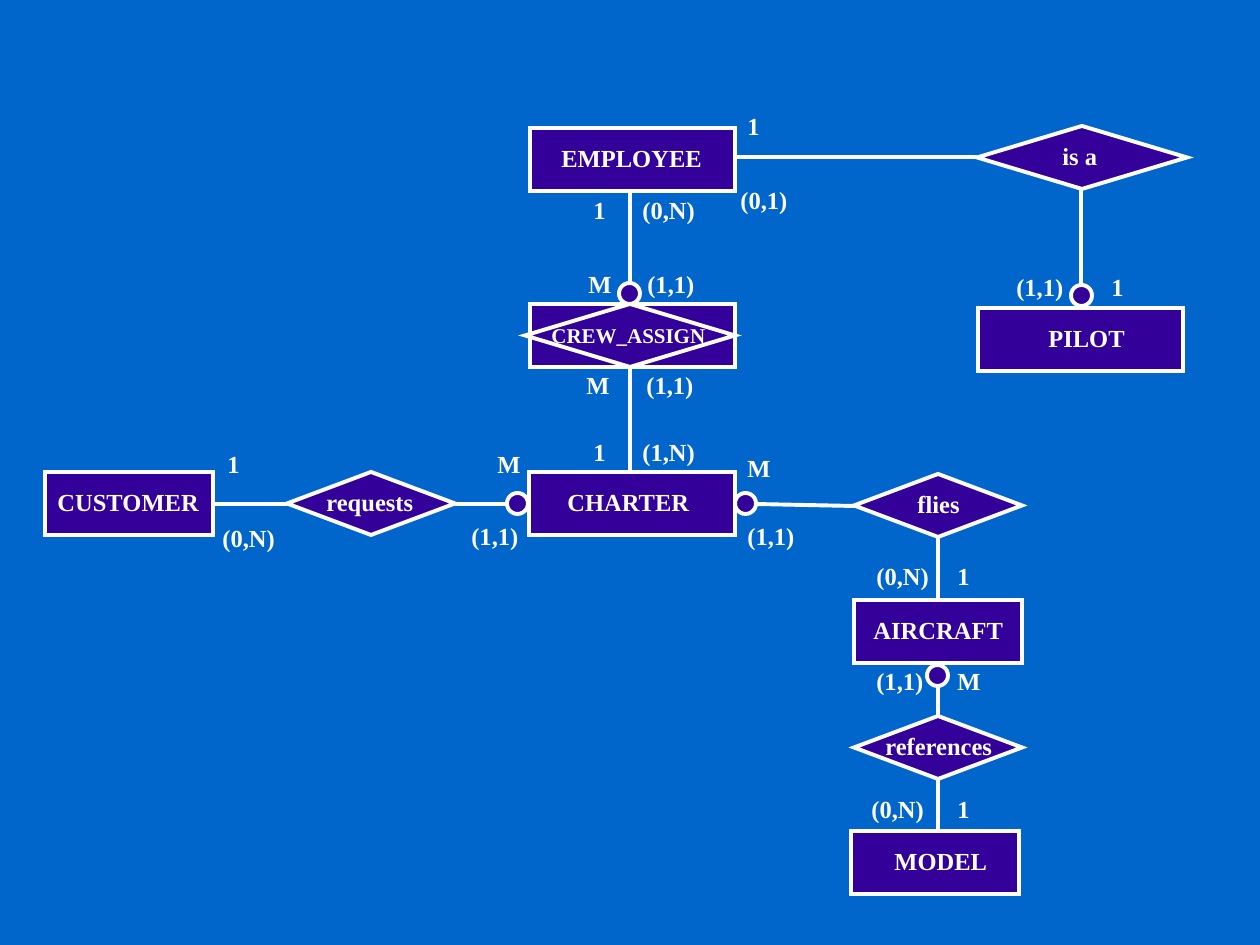
import pptx
import pptx.util
from pptx.dml.color import RGBColor
from pptx.enum.shapes import MSO_CONNECTOR, MSO_SHAPE
from pptx.enum.text import MSO_AUTO_SIZE
from lxml import etree

COLORS = {"background": "0066CC", "node": "330099", "ink": "FFFFFF"}
FONT = "Times New Roman"
EMU_PER_PX = 914400 / 126
NODE_HEIGHT = 63
DOT_SIZE = 21
BLANK_LAYOUT = 6

# name, left, top, width, label left, label width
ENTITIES = [
    ("EMPLOYEE", 530, 128, 205, 549, 170),
    ("CUSTOMER", 45, 472, 168, 45, 171),
    ("CHARTER", 529, 472, 206, 555, 152),
    ("PILOT", 978, 308, 205, 1036, 106),
    ("AIRCRAFT", 854, 600, 168, 861, 160),
    ("MODEL", 851, 831, 168, 882, 122),
]
RELATIONSHIPS = [
    ("requests", 287, 472, 168, 314, 117),
    ("flies", 854, 474, 168, 905, 72),
    ("references", 854, 716, 168, 873, 137),
    ("is a", 977, 126, 210, 1050, 64),
]
OPTIONAL_DOTS = [(507, 493), (735, 493), (619, 283), (1071, 285), (927, 665)]
LINKS = [
    (287, 504, 213, 504), (455, 504, 508, 504), (854, 506, 756, 504),
    (938, 537, 938, 600), (938, 779, 938, 831), (938, 716, 938, 685),
    (630, 368, 630, 472), (630, 284, 630, 190),
    (735, 157, 977, 157), (1081, 189, 1081, 284),
]
# multiplicity: label width, positions
MULTIPLICITIES = {
    "1": (39, [(215, 443), (581, 189), (945, 788), (945, 555),
               (581, 431), (735, 105), (1099, 266)]),
    "M": (52, [(485, 443), (735, 447), (945, 660), (574, 364), (576, 263)]),
    "(1,1)": (77, [(459, 515), (735, 515), (864, 660), (634, 364),
                   (635, 263), (1004, 266)]),
    "(0,1)": (77, [(728, 179)]),
    "(1,N)": (82, [(630, 431)]),
    "(0,N)": (82, [(864, 555), (859, 788), (210, 517), (630, 189)]),
}


def px(n):
    return pptx.util.Emu(round(n * EMU_PER_PX))


def rgb(name):
    return RGBColor.from_string(COLORS[name])


class Diagram:
    """Holds the style and the slide being drawn."""

    def __init__(self, slide):
        self.slide = slide
        self.line_width = pptx.util.Pt(2.25)
        fill = slide.background.fill
        fill.solid()
        fill.fore_color.rgb = rgb("background")

    def stroke(self, sp):
        """Draw the outline in ink with sharp corners."""
        sp.line.color.rgb = rgb("ink")
        sp.line.width = self.line_width
        ln = sp._element.spPr.find(pptx.oxml.ns.qn("a:ln"))
        etree.SubElement(ln, pptx.oxml.ns.qn("a:miter"), lim="800000")

    def node(self, kind, x, y, w, h=NODE_HEIGHT):
        sp = self.slide.shapes.add_shape(kind, px(x), px(y), px(w), px(h))
        sp.shadow.inherit = False
        sp.fill.solid()
        sp.fill.fore_color.rgb = rgb("node")
        self.stroke(sp)

    def link(self, x1, y1, x2, y2):
        cn = self.slide.shapes.add_connector(
            MSO_CONNECTOR.STRAIGHT, px(x1), px(y1), px(x2), px(y2))
        self.stroke(cn)
        etree.SubElement(cn._element.spPr, pptx.oxml.ns.qn("a:effectLst"))

    def label(self, text, x, y, w, h=43, size=14):
        box = self.slide.shapes.add_textbox(px(x), px(y), px(w), px(h))
        tf = box.text_frame
        tf.word_wrap = False
        tf.auto_size = MSO_AUTO_SIZE.SHAPE_TO_FIT_TEXT
        p = tf.paragraphs[0]
        p.text = text
        p.font.name = FONT
        p.font.size = pptx.util.Pt(size)
        p.font.bold = True
        p.font.color.rgb = rgb("ink")

    def named_node(self, kind, name, x, y, w, label_x, label_w):
        self.node(kind, x, y, w)
        self.label(name, label_x, y + 9, label_w)


def main():
    prs = pptx.Presentation()
    prs.slide_width, prs.slide_height = px(1260), px(945)
    diagram = Diagram(prs.slides.add_slide(prs.slide_layouts[BLANK_LAYOUT]))

    for entity in ENTITIES:
        diagram.named_node(MSO_SHAPE.RECTANGLE, *entity)
    for relationship in RELATIONSHIPS:
        diagram.named_node(MSO_SHAPE.FLOWCHART_DECISION, *relationship)

    # The composite entity is a diamond inside a rectangle.
    diagram.node(MSO_SHAPE.RECTANGLE, 530, 304, 205)
    diagram.node(MSO_SHAPE.FLOWCHART_DECISION, 525, 304, 210)
    diagram.label("CREW_ASSIGN", 539, 316, 183, h=38, size=12)

    for x, y in OPTIONAL_DOTS:
        diagram.node(MSO_SHAPE.FLOWCHART_CONNECTOR, x, y, DOT_SIZE, DOT_SIZE)
    for ends in LINKS:
        diagram.link(*ends)
    for text, (width, positions) in MULTIPLICITIES.items():
        for x, y in positions:
            diagram.label(text, x, y, width)

    prs.save("out.pptx")


if __name__ == "__main__":
    main()
